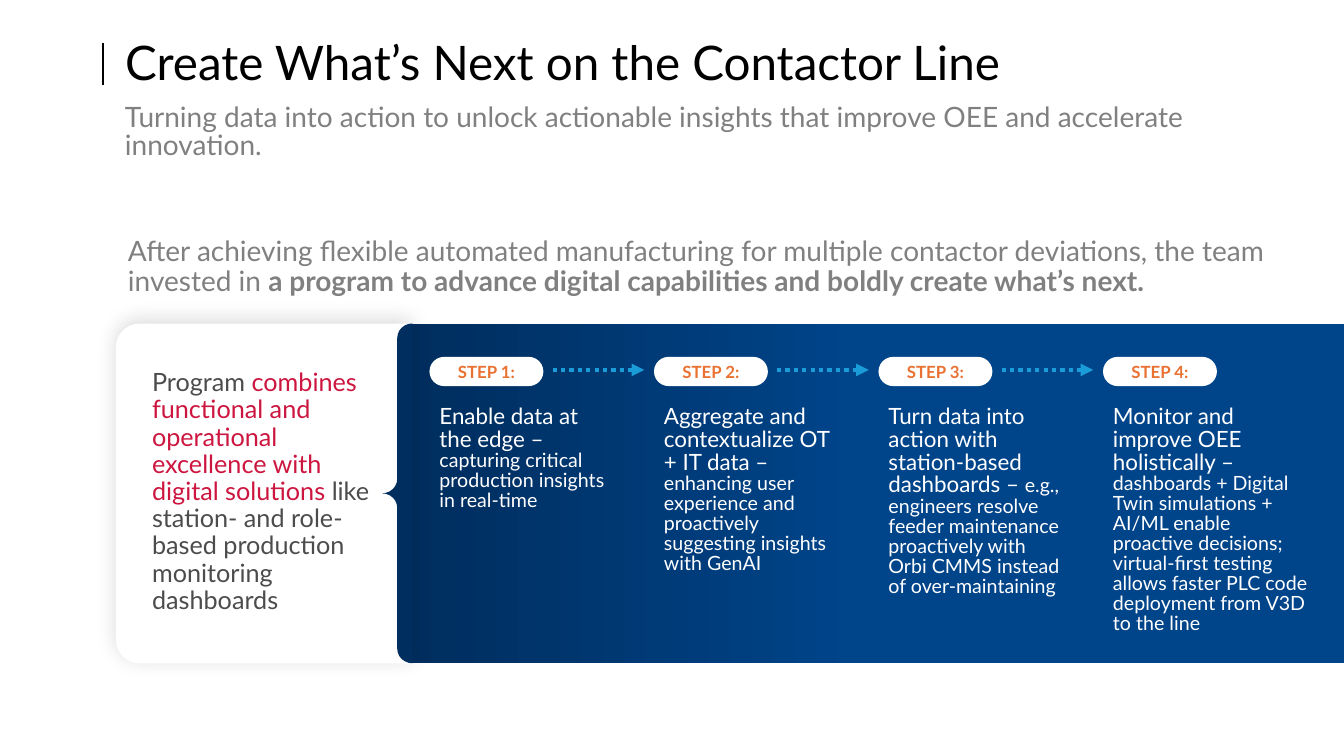
"""Build the slide on digital steps for the contactor line."""
from dataclasses import dataclass

from lxml.etree import SubElement
from pptx import Presentation
from pptx.dml.color import RGBColor
from pptx.enum.dml import MSO_LINE_DASH_STYLE as Dash
from pptx.enum.shapes import MSO_CONNECTOR as Connector, MSO_SHAPE as Shape
from pptx.enum.text import MSO_ANCHOR as Anchor, MSO_AUTO_SIZE as AutoSize, PP_ALIGN as Align
from pptx.oxml.ns import qn
from pptx.util import Inches, Pt


@dataclass(frozen=True)
class Theme:
    """Colours, font and type sizes of the slide."""
    font: str = "Lato"
    black: str = "000000"
    grey: str = "808080"
    charcoal: str = "4C4C4C"
    red: str = "CD163F"
    orange: str = "E97132"
    white: str = "FFFFFF"
    navy: str = "002E5F"
    blue: str = "00448A"
    sky: str = "1A9CD8"
    title: int = 34
    lead: int = 20
    program: int = 18
    step: int = 16
    detail: int = 14
    label: int = 12


@dataclass(frozen=True)
class Span:
    """A stretch of text in one format."""
    text: str
    size: int
    color: str
    bold: bool = False


@dataclass(frozen=True)
class Step:
    """One step of the program."""
    heading: str
    detail: str
    width: float = 1.92


THEME = Theme()
FIRST_LEFT, LAST_LEFT = 4.26, 10.94
PANEL_TOP, PANEL_HEIGHT = 3.21, 3.37
STEPS = [
    Step("Enable data at the edge – ",
         "capturing critical production insights in real-time"),
    Step("Aggregate and contextualize OT + IT data – ",
         "enhancing user experience and proactively suggesting insights with GenAI"),
    Step("Turn data into action with station-based dashboards – ",
         "e.g., engineers resolve feeder maintenance proactively with Orbi CMMS "
         "instead of over-maintaining"),
    Step("Monitor and improve OEE holistically – ",
         "dashboards + Digital Twin simulations + AI/ML enable proactive decisions; "
         "virtual-first testing allows faster PLC code deployment from V3D to the line", 2.18),
]


def rgb(color: str) -> RGBColor:
    """Turn a hex string into a colour."""
    return RGBColor.from_string(color)


def write(frame, spans: list[Span], spacing=None, align=Align.LEFT, anchor=Anchor.TOP) -> None:
    """Fill a text frame with one paragraph of spans."""
    frame.word_wrap = True
    frame.auto_size = AutoSize.NONE
    frame.vertical_anchor = anchor
    paragraph = frame.paragraphs[0]
    paragraph.alignment = align
    paragraph.line_spacing = spacing
    for span in spans:
        run = paragraph.add_run()
        run.text = span.text
        run.font.name = THEME.font
        run.font.size = Pt(span.size)
        run.font.bold = span.bold
        run.font.color.rgb = rgb(span.color)


def add_text(slide, left: float, top: float, width: float, height: float,
             spans: list[Span], spacing) -> None:
    """Add a wrapped text box."""
    box = slide.shapes.add_textbox(Inches(left), Inches(top), Inches(width), Inches(height))
    write(box.text_frame, spans, spacing)


def add_block(slide, kind: Shape, left: float, top: float, width: float, height: float,
              color: str, adjustments: tuple[float, ...] = ()):
    """Add a filled shape without outline or shadow."""
    block = slide.shapes.add_shape(kind, Inches(left), Inches(top), Inches(width), Inches(height))
    block.shadow.inherit = False
    block.fill.solid()
    block.fill.fore_color.rgb = rgb(color)
    block.line.fill.background()
    for index, value in enumerate(adjustments):
        block.adjustments[index] = value
    return block


def add_line(slide, start: tuple[float, float], end: tuple[float, float],
             color: str, width: float):
    """Add a straight line without shadow."""
    line = slide.shapes.add_connector(Connector.STRAIGHT, *map(Inches, start + end))
    line.line.color.rgb = rgb(color)
    line.line.width = Pt(width)
    SubElement(line._element.spPr, qn("a:effectLst"))
    return line


def add_soft_shadow(card) -> None:
    """Give the card a faint shadow above it."""
    effects = card._element.spPr.find(qn("a:effectLst"))
    shadow = SubElement(effects, qn("a:outerShdw"), blurRad=str(Pt(15.2)), dist=str(Pt(3)),
                        dir=str(270 * 60000), algn="ctr", rotWithShape="0")
    color = SubElement(shadow, qn("a:srgbClr"), val=THEME.black)
    SubElement(color, qn("a:alpha"), val="14000")


def add_header(slide) -> None:
    """Add the title, its rule and the two lead texts."""
    add_line(slide, (1.02, 0.84), (1.02, 0.43), THEME.black, 1.25)
    title = slide.shapes.title
    title.left, title.top, title.width, title.height = map(Inches, (1.14, 0.38, 11.75, 0.57))
    write(title.text_frame,
          [Span("Create What’s Next on the Contactor Line", THEME.title, THEME.black)],
          Pt(33), anchor=Anchor.MIDDLE)
    add_text(slide, 1.14, 0.99, 11.75, 0.38, [
        Span("Turning data into action to unlock actionable insights that improve OEE "
             "and accelerate innovation.", THEME.lead, THEME.grey)], Pt(20))
    add_text(slide, 1.17, 2.3, 11.75, 0.71, [
        Span("After achieving flexible automated manufacturing for multiple contactor "
             "deviations, the team invested in ", THEME.lead, THEME.grey),
        Span("a program to advance digital capabilities and boldly create what’s next.",
             THEME.lead, THEME.grey, True)], 0.9)


def add_panel(slide) -> None:
    """Add the blue panel, the program card and the notch between them."""
    panel = add_block(slide, Shape.RECTANGLE, 4.08, PANEL_TOP, 9.25, PANEL_HEIGHT, THEME.blue)
    panel.fill.gradient()
    panel.fill.gradient_angle = 0
    for stop, position, color in zip(panel.fill.gradient_stops, (0, 0.48),
                                     (THEME.navy, THEME.blue)):
        stop.position = position
        stop.color.rgb = rgb(color)
    card = add_block(slide, Shape.ROUND_2_SAME_RECTANGLE, 0.93, 3.43, PANEL_HEIGHT, 2.93,
                     THEME.white, (0.08, 0))
    card.rotation = 270
    add_soft_shadow(card)
    add_text(slide, 1.41, 3.62, 2.6, 2.55, [
        Span("Program ", THEME.program, THEME.charcoal),
        Span("combines functional and operational excellence with digital solutions ",
             THEME.program, THEME.red),
        Span("like station- and role-based production monitoring dashboards",
             THEME.program, THEME.charcoal)], 0.9)
    add_block(slide, Shape.LEFT_BRACE, 3.79, PANEL_TOP, 0.3, PANEL_HEIGHT, THEME.navy,
              (0.48, 0.5))


def add_step(slide, number: int, step: Step) -> None:
    """Add a step's label, its text and the arrow to the next step."""
    left = FIRST_LEFT + (number - 1) * (LAST_LEFT - FIRST_LEFT) / (len(STEPS) - 1)
    label = add_block(slide, Shape.ROUNDED_RECTANGLE, left, 3.54, 1.13, 0.29,
                      THEME.white, (0.5,))
    write(label.text_frame, [Span(f"STEP {number}:", THEME.label, THEME.orange, True)],
          align=Align.CENTER, anchor=Anchor.MIDDLE)
    add_text(slide, left, 3.98, step.width, 2.19, [
        Span(step.heading, THEME.step, THEME.white),
        Span(step.detail, THEME.detail, THEME.white)], 0.85)
    if number < len(STEPS):
        arrow = add_line(slide, (left + 1.22, 3.67), (left + 2.13, 3.67), THEME.sky, 3)
        arrow.line.dash_style = Dash.ROUND_DOT
        SubElement(arrow.line._get_or_add_ln(), qn("a:tailEnd"), type="triangle")


def main() -> None:
    """Build and save the presentation."""
    deck = Presentation()
    deck.slide_width, deck.slide_height = Inches(13.33), Inches(7.5)
    slide = deck.slides.add_slide(deck.slide_layouts.get_by_name("Title Only"))
    add_header(slide)
    add_panel(slide)
    for number, step in enumerate(STEPS, start=1):
        add_step(slide, number, step)
    deck.save("out.pptx")


if __name__ == "__main__":
    main()
